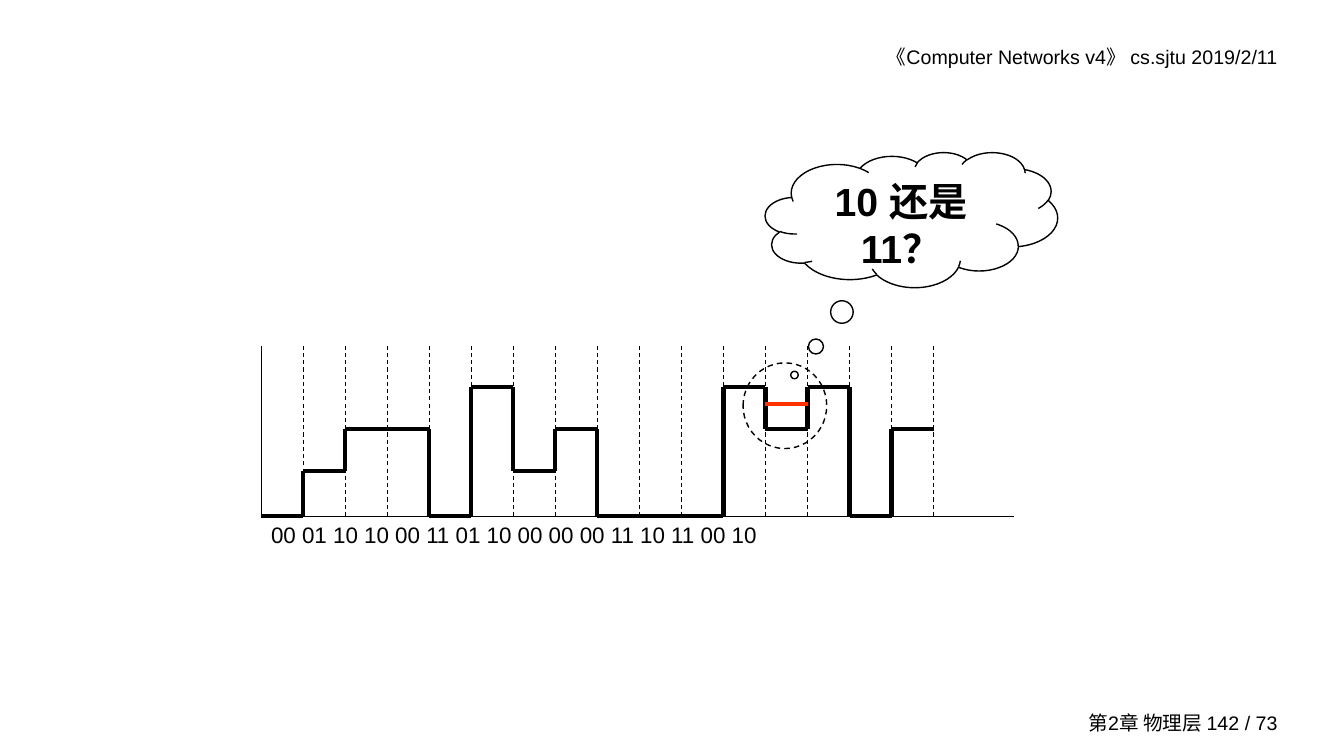
from itertools import groupby

from lxml import etree
from pptx import Presentation
from pptx.dml.color import RGBColor
from pptx.enum.dml import MSO_LINE
from pptx.enum.shapes import MSO_CONNECTOR, MSO_SHAPE
from pptx.enum.text import MSO_ANCHOR, PP_ALIGN
from pptx.oxml.ns import qn
from pptx.util import Inches, Pt

STRAIGHT = MSO_CONNECTOR.STRAIGHT
DASH = MSO_LINE.DASH
OVAL, CLOUD = MSO_SHAPE.OVAL, MSO_SHAPE.CLOUD_CALLOUT
TOP, MIDDLE = MSO_ANCHOR.TOP, MSO_ANCHOR.MIDDLE
RIGHT, CENTER, JUSTIFY = PP_ALIGN.RIGHT, PP_ALIGN.CENTER, PP_ALIGN.JUSTIFY

COLORS = {"ink": "000000", "doubt": "FF3300"}
FONT = "Arial"
HEADER = "《Computer Networks v4》 cs.sjtu 2019/2/11"
FOOTER = "第2章 物理层 142 / 73"
QUESTION = "10 还是11？"
SYMBOLS = ["00", "01", "10", "10", "00", "11", "01", "10",
           "00", "00", "00", "11", "10", "11", "00", "10"]
LEVEL_Y = {"00": 5.12, "01": 4.67, "10": 4.26, "11": 3.84}
DOUBTFUL_SLOT = 12
DOUBTFUL_Y = 4.01

LEFT, TOP_Y, BASE_Y, AXIS_END = 2.59, 3.43, 5.12, 10.06
WAVE_WIDTH = 6.67
SLOT = WAVE_WIDTH / len(SYMBOLS)
THIN, OUTLINE, THICK = 0.75, 1, 3


def rgb(name):
    return RGBColor.from_string(COLORS[name])


def style_line(line, width, color="ink", dash=None):
    line.color.rgb = rgb(color)
    line.width = Pt(width)
    if dash:
        line.dash_style = dash


def draw_line(slide, x1, y1, x2, y2, width, color="ink", dash=None):
    segment = slide.shapes.add_connector(
        STRAIGHT, Inches(x1), Inches(y1), Inches(x2), Inches(y2))
    style_line(segment.line, width, color, dash)
    etree.SubElement(segment._element.spPr, qn("a:effectLst"))


def write(frame, text, size, align, anchor=TOP, bold=False):
    frame.word_wrap = True
    frame.vertical_anchor = anchor
    paragraph = frame.paragraphs[0]
    paragraph.text = text
    paragraph.alignment = align
    paragraph.font.name = FONT
    paragraph.font.size = Pt(size)
    paragraph.font.bold = bold
    paragraph.font.color.rgb = rgb("ink")


def add_label(slide, box, *text_style):
    label = slide.shapes.add_textbox(*map(Inches, box))
    write(label.text_frame, *text_style)


def add_outline(slide, preset, box, dash=None):
    outline = slide.shapes.add_shape(preset, *map(Inches, box))
    outline.shadow.inherit = False
    outline.fill.background()
    style_line(outline.line, OUTLINE, dash=dash)
    return outline


def slot_x(index):
    return LEFT + index * SLOT


def draw_grid(slide):
    draw_line(slide, LEFT, BASE_Y, AXIS_END, BASE_Y, THIN)
    draw_line(slide, LEFT, TOP_Y, LEFT, BASE_Y, THIN)
    for index in range(1, len(SYMBOLS) + 1):
        draw_line(slide, slot_x(index), TOP_Y, slot_x(index), BASE_Y, THIN, dash=DASH)


def draw_wave(slide):
    start, previous_y = 0, None
    for symbol, run in groupby(SYMBOLS):
        end, y = start + len(list(run)), LEVEL_Y[symbol]
        if previous_y is not None:
            draw_line(slide, slot_x(start), min(y, previous_y),
                      slot_x(start), max(y, previous_y), THICK)
        draw_line(slide, slot_x(start), y, slot_x(end), y, THICK)
        start, previous_y = end, y


def main():
    prs = Presentation()
    prs.slide_width, prs.slide_height = Inches(13.33), Inches(7.5)
    slide = prs.slides.add_slide(prs.slide_layouts[6])

    add_label(slide, (7.03, 0.4, 5.74, 0.34), HEADER, 14, RIGHT)
    add_label(slide, (9.76, 7, 3.01, 0.33), FOOTER, 14, RIGHT, MIDDLE)

    draw_grid(slide)
    draw_wave(slide)
    add_label(slide, (LEFT, BASE_Y, WAVE_WIDTH, 0.37), " ".join(SYMBOLS), 16, JUSTIFY)

    draw_line(slide, slot_x(DOUBTFUL_SLOT), DOUBTFUL_Y,
              slot_x(DOUBTFUL_SLOT + 1), DOUBTFUL_Y, THICK, "doubt")
    add_outline(slide, OVAL, (7.37, 3.6, 0.83, 0.85), DASH)
    thought = add_outline(slide, CLOUD, (7.59, 1.51, 2.9, 1.34))
    thought.adjustments[0], thought.adjustments[1] = -0.4, 1.15
    write(thought.text_frame, QUESTION, 28, CENTER, bold=True)

    prs.save("out.pptx")


if __name__ == "__main__":
    main()
